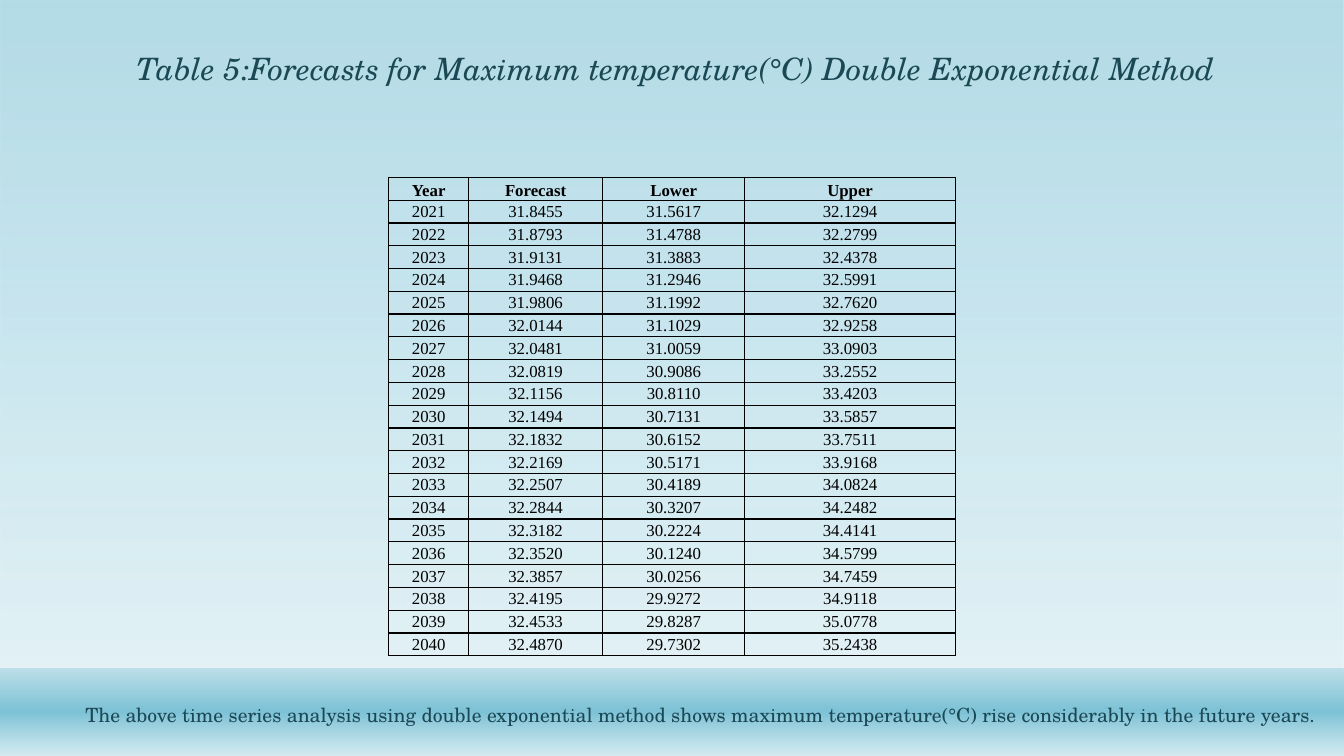
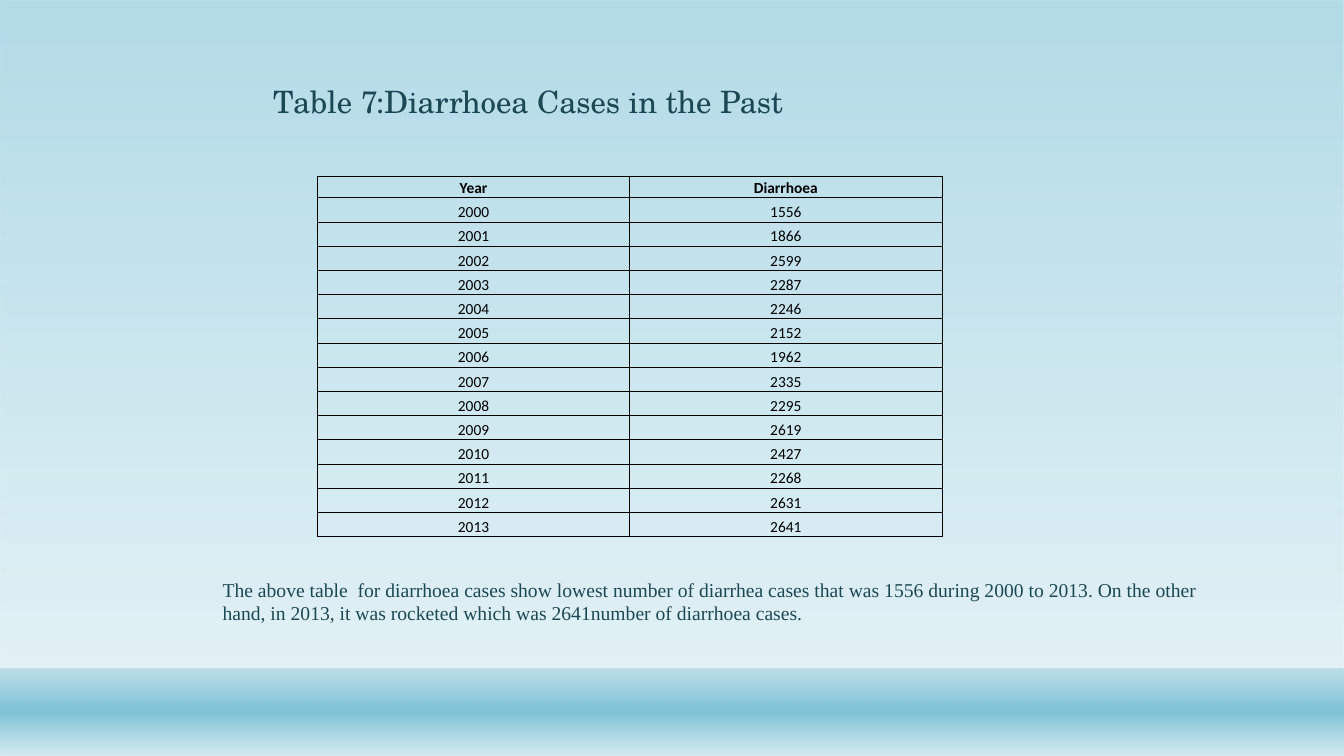
from lxml import etree
from pptx import Presentation
from pptx.dml.color import RGBColor
from pptx.enum.shapes import MSO_SHAPE
from pptx.enum.text import MSO_ANCHOR, MSO_AUTO_SIZE, PP_ALIGN
from pptx.oxml import parse_xml
from pptx.oxml.ns import nsdecls, qn
from pptx.util import Cm, Pt

# Shared look: lengths in cm, gradient stops as (position %, colour, opacity %)
SLIDE_WIDTH, SLIDE_HEIGHT = 33.87, 19.05
BAND_TOP = 16.84
INK, BLACK = "1B4855", "000000"
AQUA, PALE = "7DC2D6", "D4EBF1"
SERIF, TIMES = "TeX Gyre Schola", "Times New Roman"
BACKDROP = [
    (0, SLIDE_HEIGHT, [(0, AQUA, 58), (88, PALE, 65)]),
    (BAND_TOP, SLIDE_HEIGHT - BAND_TOP, [(1, AQUA, 38), (49, AQUA, 100), (100, PALE, 89)]),
]
TITLE_FRAME = {
    "word_wrap": True,
    "auto_size": MSO_AUTO_SIZE.NONE,
    "vertical_anchor": MSO_ANCHOR.BOTTOM,
    "margin_bottom": Cm(1.58),
}

# Content
FORECASTS = [
    ("Year", "Forecast", "Lower", "Upper"),
    ("2021", "31.8455", "31.5617", "32.1294"),
    ("2022", "31.8793", "31.4788", "32.2799"),
    ("2023", "31.9131", "31.3883", "32.4378"),
    ("2024", "31.9468", "31.2946", "32.5991"),
    ("2025", "31.9806", "31.1992", "32.7620"),
    ("2026", "32.0144", "31.1029", "32.9258"),
    ("2027", "32.0481", "31.0059", "33.0903"),
    ("2028", "32.0819", "30.9086", "33.2552"),
    ("2029", "32.1156", "30.8110", "33.4203"),
    ("2030", "32.1494", "30.7131", "33.5857"),
    ("2031", "32.1832", "30.6152", "33.7511"),
    ("2032", "32.2169", "30.5171", "33.9168"),
    ("2033", "32.2507", "30.4189", "34.0824"),
    ("2034", "32.2844", "30.3207", "34.2482"),
    ("2035", "32.3182", "30.2224", "34.4141"),
    ("2036", "32.3520", "30.1240", "34.5799"),
    ("2037", "32.3857", "30.0256", "34.7459"),
    ("2038", "32.4195", "29.9272", "34.9118"),
    ("2039", "32.4533", "29.8287", "35.0778"),
    ("2040", "32.4870", "29.7302", "35.2438"),
]
CASES = [1556, 1866, 2599, 2287, 2246, 2152, 1962, 2335, 2295, 2619, 2427, 2268, 2631, 2641]
DIARRHOEA = [("Year", "Diarrhoea")] + [
    (str(year), str(count)) for year, count in enumerate(CASES, start=2000)
]

PAGES = [
    {
        "title": "Table 5:Forecasts for Maximum temperature(°C) Double Exponential Method",
        "title_box": (3.18, 0.28, 28.78, 3.5),
        "italic": True,
        "note": "The above time series analysis using double exponential method shows "
                "maximum temperature(°C) rise considerably in the future years.",
        "note_box": (1.9, 17.6, 31.67, 1.17),
        "note_font": SERIF,
        "rows": FORECASTS,
        "corner": (9.8, 4.47),
        "columns": (2.01, 3.38, 3.58, 5.31),
        "heights": (0.5, 0.5),
        "border": 1,
        "inset": 0.05,
        "spacing": 1.07,
        "anchor": MSO_ANCHOR.TOP,
        "font": {"name": TIMES, "size": Pt(12)},
    },
    {
        "title": "Table 7:Diarrhoea Cases in the Past",
        "title_box": (6.63, 2.11, 25.32, 2.51),
        "italic": False,
        "note": "The above table  for diarrhoea cases show lowest number of diarrhea cases "
                "that was 1556 during 2000 to 2013. On the other hand, in 2013, it was "
                "rocketed which was 2641number of diarrhoea cases.",
        "note_box": (5.36, 14.43, 26.14, 3.45),
        "note_font": TIMES,
        "rows": DIARRHOEA,
        "corner": (8, 4.45),
        "columns": (7.87, 7.87),
        "heights": (0.53, 0.61),
        "border": 0.5,
        "inset": 0.03,
        "spacing": 1.0,
        "anchor": MSO_ANCHOR.BOTTOM,
        "font": {"name": "Calibri", "size": Pt(11)},
    },
]


def color(code):
    return RGBColor.from_string(code)


def apply(target, values):
    for name, value in values.items():
        setattr(target, name, value)


def write(para, text, ink, font, align=PP_ALIGN.LEFT, spacing=1.0):
    apply(para, {"alignment": align, "line_spacing": spacing})
    span = para.add_run()
    span.text = text
    apply(span.font, font)
    span.font.color.rgb = color(ink)


def fill_gradient(shape, stops):
    """Fill a shape from top to bottom with partly clear colours."""
    gradient = parse_xml(f'<a:gradFill {nsdecls("a")} rotWithShape="1"><a:gsLst/>'
                         '<a:lin ang="5400000" scaled="0"/></a:gradFill>')
    for place, code, opacity in stops:
        stop = etree.SubElement(gradient[0], qn("a:gs"), pos=str(place * 1000))
        tint = etree.SubElement(stop, qn("a:srgbClr"), val=code)
        etree.SubElement(tint, qn("a:alpha"), val=str(opacity * 1000))
    shape.fill.background()
    blank = shape.element.spPr.find(qn("a:noFill"))
    blank.getparent().replace(blank, gradient)


def add_backdrop(layout, page):
    """Build the backdrop on a page, then move it behind everything on the layout."""
    for order, (top, height, stops) in enumerate(BACKDROP):
        band = page.shapes.add_shape(
            MSO_SHAPE.RECTANGLE, 0, Cm(top), Cm(SLIDE_WIDTH), Cm(height))
        band.shadow.inherit = False
        band.line.fill.background()
        fill_gradient(band, stops)
        band.element.nvSpPr.cNvPr.set("id", str(101 + order))
        layout.shapes.element.insert(2 + order, band.element)


def add_title(page, data):
    title = page.shapes.title
    apply(title, dict(zip(("left", "top", "width", "height"), map(Cm, data["title_box"]))))
    apply(title.text_frame, TITLE_FRAME)
    write(title.text_frame.paragraphs[0], data["title"], INK,
          {"name": SERIF, "size": Pt(22), "italic": data["italic"], "bold": False}, spacing=0.9)


def add_note(page, data):
    frame = page.shapes.add_textbox(*map(Cm, data["note_box"])).text_frame
    frame.word_wrap = True
    write(frame.paragraphs[0], data["note"], INK,
          {"name": data["note_font"], "size": Pt(14)})


def add_borders(cell, points):
    properties = cell._tc.get_or_add_tcPr()
    for order, side in enumerate(("lnL", "lnR", "lnT", "lnB")):
        properties.insert(order, parse_xml(
            f'<a:{side} {nsdecls("a")} w="{Pt(points)}"><a:solidFill>'
            f'<a:srgbClr val="{BLACK}"/></a:solidFill></a:{side}>'))


def add_data_table(page, data):
    rows, columns = data["rows"], data["columns"]
    head_height, row_height = data["heights"]
    heights = [head_height] + [row_height] * (len(rows) - 1)
    table = page.shapes.add_table(
        len(rows), len(columns), *map(Cm, data["corner"]),
        Cm(sum(columns)), Cm(sum(heights))).table
    apply(table, {"first_row": False, "horz_banding": False})
    for column, width in zip(table.columns, columns):
        column.width = Cm(width)
    for index, (row, height, texts) in enumerate(zip(table.rows, heights, rows)):
        row.height = Cm(height)
        is_head = index == 0
        for cell, text in zip(row.cells, texts):
            apply(cell, {
                "margin_left": Cm(data["inset"]),
                "margin_right": Cm(data["inset"]),
                "margin_top": Cm(0.03),
                "margin_bottom": 0,
                "vertical_anchor": MSO_ANCHOR.BOTTOM if is_head else data["anchor"],
            })
            cell.fill.background()
            add_borders(cell, data["border"])
            write(cell.text_frame.paragraphs[0], text, BLACK,
                  {**data["font"], "bold": is_head}, PP_ALIGN.CENTER, data["spacing"])


def main():
    deck = Presentation()
    deck.slide_width, deck.slide_height = Cm(SLIDE_WIDTH), Cm(SLIDE_HEIGHT)
    layout = deck.slide_layouts[5]
    for number, data in enumerate(PAGES):
        page = deck.slides.add_slide(layout)
        if number == 0:
            add_backdrop(layout, page)
        add_title(page, data)
        add_note(page, data)
        add_data_table(page, data)
    deck.save("out.pptx")


if __name__ == "__main__":
    main()
